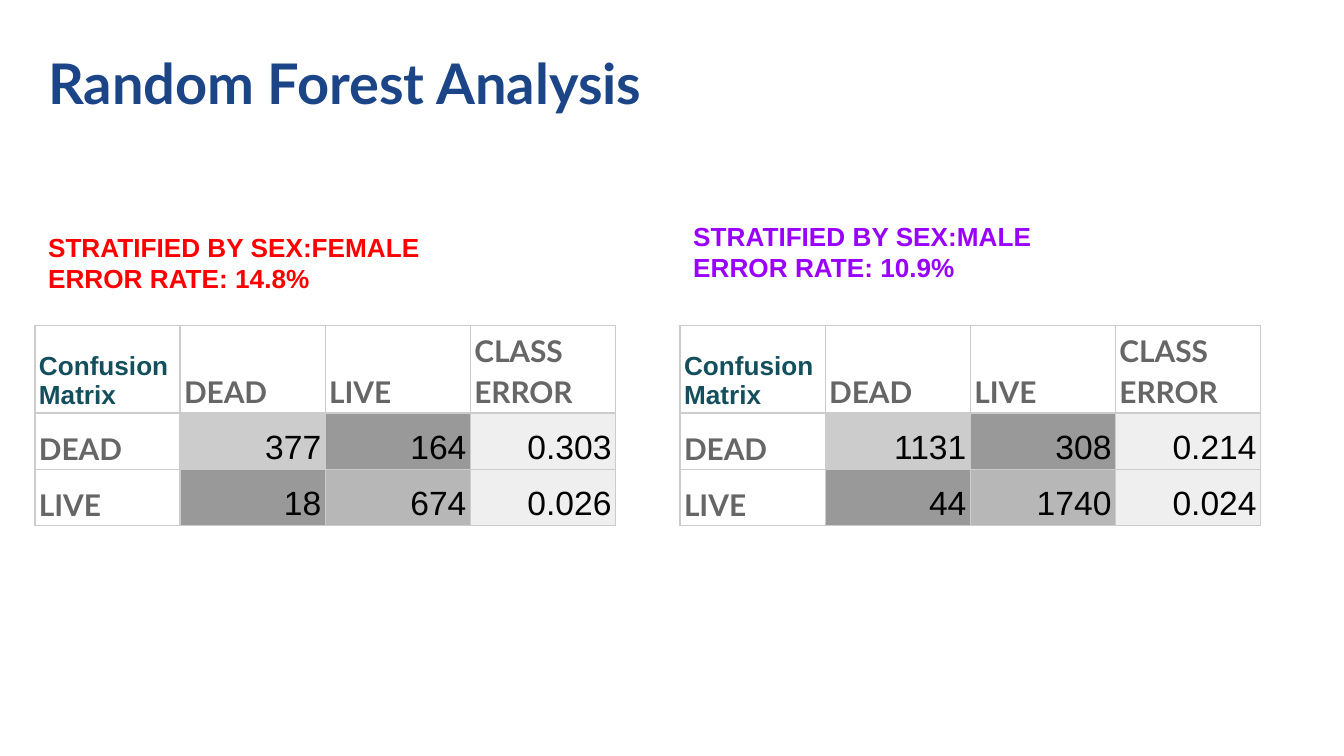
from dataclasses import dataclass

from lxml.etree import SubElement
from pptx import Presentation
from pptx.dml.color import RGBColor
from pptx.enum.text import MSO_ANCHOR, PP_ALIGN
from pptx.oxml.ns import qn
from pptx.util import Inches, Pt


@dataclass(frozen=True)
class Theme:
    title: str = "1C4587"
    female: str = "FF0000"
    male: str = "9900FF"
    corner: str = "134F5C"
    label: str = "666666"
    value: str = "000000"
    rule: str = "CCCCCC"
    fills: tuple = (("CCCCCC", "999999", "EFEFEF"),
                    ("999999", "B7B7B7", "EFEFEF"))
    head: str = "Lato"
    body: str = "Arial"
    big: int = 30
    mid: int = 18
    small: int = 16
    note: int = 14


THEME = Theme()
WIDTH = Inches(10)
HEIGHT = WIDTH * 9 // 16
LEFT, RIGHT = 0.26, 5.06
COL, ROW = 1.08, 0.42
CLASSES = ("DEAD", "LIVE")


def write(frame, text, size, color, font=THEME.body, bold=True,
          align=PP_ALIGN.LEFT, space=1.0):
    """Fill a text frame, one paragraph for each line of text."""
    frame.word_wrap = True
    for i, line in enumerate(text.split("\n")):
        para = frame.add_paragraph() if i else frame.paragraphs[0]
        para.alignment = align
        para.line_spacing = space
        run = para.add_run()
        run.text = line
        run.font.size = Pt(size)
        run.font.name = font
        run.font.bold = bold
        run.font.color.rgb = RGBColor.from_string(color)


def add_text(slide, box, text, **style):
    frame = slide.shapes.add_textbox(*map(Inches, box)).text_frame
    frame.margin_left = frame.margin_right = Inches(0.1)
    frame.margin_top = frame.margin_bottom = Inches(0.1)
    write(frame, text, **style)


def add_rules(cell):
    """Draw a thin line on all four sides of a cell."""
    props = cell._tc.get_or_add_tcPr()
    for side in "LRTB":
        line = SubElement(props, qn(f"a:ln{side}"), w=str(Pt(0.75)))
        fill = SubElement(line, qn("a:solidFill"))
        SubElement(fill, qn("a:srgbClr"), val=THEME.rule)


def fill_cell(cell, text, fill=None, **style):
    cell.margin_left = cell.margin_right = Inches(0.03)
    cell.margin_top = cell.margin_bottom = Inches(0.02)
    cell.vertical_anchor = MSO_ANCHOR.BOTTOM
    add_rules(cell)
    if fill:
        cell.fill.solid()
        cell.fill.fore_color.rgb = RGBColor.from_string(fill)
    else:
        cell.fill.background()
    write(cell.text_frame, text, **style)


def add_matrix(slide, left, top, values):
    """Place a confusion matrix; each row of values is one true class."""
    table = slide.shapes.add_table(
        3, 4, Inches(left), Inches(top), Inches(4 * COL), Inches(3 * ROW)).table
    table.first_row = table.horz_banding = False
    for col in table.columns:
        col.width = Inches(COL)
    for row in table.rows:
        row.height = Inches(ROW)

    label = dict(size=THEME.small, color=THEME.label, font=THEME.head, space=1.15)
    number = dict(size=THEME.mid, color=THEME.value, bold=False,
                  align=PP_ALIGN.RIGHT, space=1.15)
    fill_cell(table.cell(0, 0), "Confusion Matrix",
              size=THEME.note, color=THEME.corner)
    for c, name in enumerate((*CLASSES, "CLASS ERROR"), 1):
        fill_cell(table.cell(0, c), name, **label)
    for r, (name, row, fills) in enumerate(zip(CLASSES, values, THEME.fills), 1):
        fill_cell(table.cell(r, 0), name, **label)
        for c, (value, fill) in enumerate(zip(row, fills), 1):
            fill_cell(table.cell(r, c), value, fill, **number)


def add_group(slide, left, top, sex, rate, color, values):
    """Place the caption and matrix of one sex."""
    add_text(slide, (left, top, 3.76, 0.63),
             f"STRATIFIED BY SEX:{sex}\nERROR RATE: {rate}",
             size=THEME.note, color=color)
    add_matrix(slide, left, 2.42, values)


def main():
    deck = Presentation()
    deck.slide_width, deck.slide_height = WIDTH, HEIGHT
    slide = deck.slides.add_slide(deck.slide_layouts[6])
    add_text(slide, (LEFT, 0.26, 9.32, 0.63), "Random Forest Analysis",
             size=THEME.big, color=THEME.title, font=THEME.head)
    add_group(slide, RIGHT, 1.54, "MALE", "10.9%", THEME.male,
              (("1131", "308", "0.214"), ("44", "1740", "0.024")))
    add_group(slide, LEFT, 1.62, "FEMALE", "14.8%", THEME.female,
              (("377", "164", "0.303"), ("18", "674", "0.026")))
    deck.save("out.pptx")


if __name__ == "__main__":
    main()
